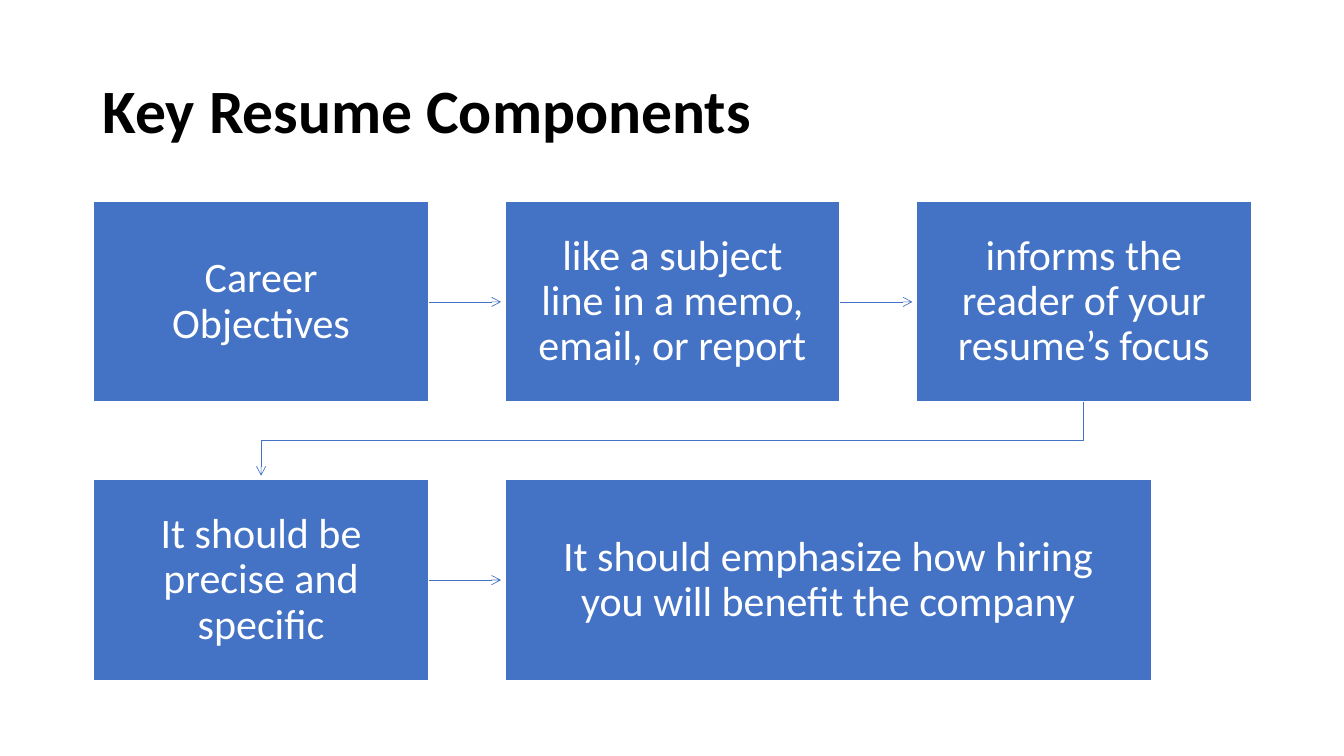
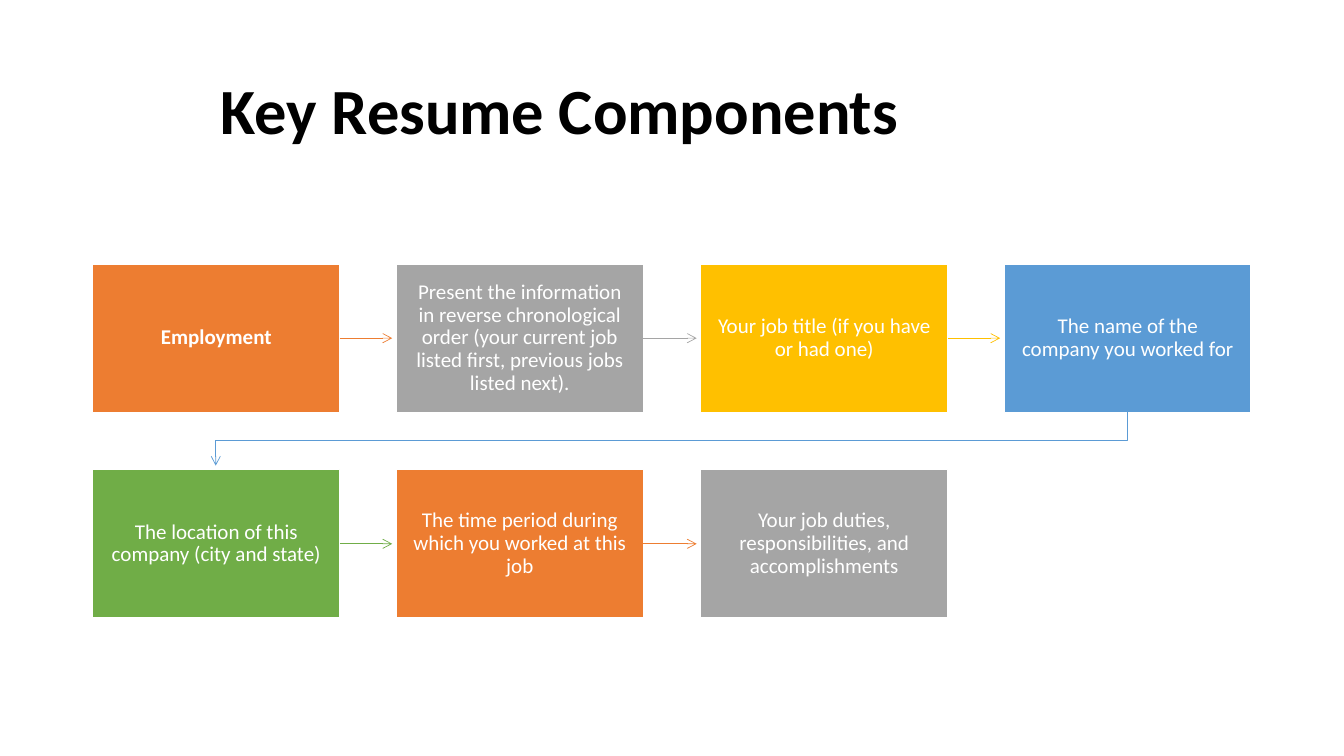
"""Build two slides that show resume components as box flows."""
from dataclasses import dataclass

from lxml.etree import SubElement
from pptx import Presentation
from pptx.dml.color import RGBColor
from pptx.enum.shapes import MSO_CONNECTOR, MSO_SHAPE
from pptx.enum.text import MSO_ANCHOR, MSO_AUTO_SIZE, PP_ALIGN
from pptx.oxml.ns import qn
from pptx.util import Emu, Pt

PX = 9144
TITLE_ONLY = 5
RIGHT_SITE = 3


@dataclass(frozen=True)
class Theme:
    font: str = "Calibri"
    black: str = "000000"
    white: str = "FFFFFF"
    blue: str = "4472C4"
    orange: str = "ED7D31"
    gray: str = "A5A5A5"
    gold: str = "FFC000"
    sky: str = "5B9BD5"
    green: str = "70AD47"
    title_size: int = 44
    large_title_size: int = 46
    large_text_size: int = 30
    small_text_size: int = 15
    line_spacing: float = 0.9
    border: float = 1
    arrow: float = 0.5


THEME = Theme()


@dataclass(frozen=True)
class Step:
    text: str
    color: str
    bold: bool = False
    width: int | None = None


@dataclass(frozen=True)
class Grid:
    left: int
    last_left: int
    top: int
    width: int
    height: int
    row_pitch: int
    columns: int
    inset_x: int
    inset_y: int
    text_size: int
    arrow_gap: int = 4


@dataclass(frozen=True)
class FlowSlide:
    title: str
    title_left: int
    title_size: int
    grid: Grid
    steps: tuple[Step, ...]


@dataclass(frozen=True)
class Box:
    left: int
    top: int
    width: int
    height: int

    @property
    def right(self) -> int:
        return self.left + self.width

    @property
    def bottom(self) -> int:
        return self.top + self.height

    @property
    def center_x(self) -> int:
        return self.left + self.width // 2

    @property
    def center_y(self) -> int:
        return self.top + self.height // 2


SLIDES = (
    FlowSlide(
        "Key Resume Components", 92, THEME.title_size,
        Grid(left=93, last_left=909, top=200, width=332, height=199, row_pitch=276,
             columns=3, inset_x=23, inset_y=23, text_size=THEME.large_text_size),
        (
            Step("Career Objectives", THEME.blue),
            Step("like a subject line in a memo, email, or report", THEME.blue),
            Step("informs the reader of your resume’s focus", THEME.blue),
            Step("It should be precise and specific", THEME.blue),
            Step("It should emphasize how hiring you will benefit the company",
                 THEME.blue, width=641),
        ),
    ),
    FlowSlide(
        "Key Resume Components", 209, THEME.large_title_size,
        Grid(left=92, last_left=996, top=262, width=245, height=147, row_pitch=204,
             columns=4, inset_x=12, inset_y=13, text_size=THEME.small_text_size),
        (
            Step("Employment", THEME.orange, bold=True),
            Step("Present the information in reverse chronological order (your current "
                 "job listed first, previous jobs listed next).", THEME.gray),
            Step("Your job title (if you have or had one)", THEME.gold),
            Step("The name of the company you worked for", THEME.sky),
            Step("The location of this company (city and state)", THEME.green),
            Step("The time period during which you worked at this job", THEME.orange),
            Step("Your job duties, responsibilities, and accomplishments", THEME.gray),
        ),
    ),
)


def px(n: int) -> Emu:
    """Turn pixels into EMU."""
    return Emu(n * PX)


def rgb(color: str) -> RGBColor:
    """Turn a hex string into a colour."""
    return RGBColor.from_string(color)


def style_paragraph(p, size: int, color: str, bold: bool, align) -> None:
    """Format a whole paragraph."""
    p.alignment = align
    p.line_spacing = THEME.line_spacing
    p.font.name = THEME.font
    p.font.size = Pt(size)
    p.font.bold = bold
    p.font.color.rgb = rgb(color)


def place_title(slide, flow: FlowSlide) -> None:
    """Move, fill and format the title placeholder."""
    sp = slide.shapes.title
    sp.left, sp.top = px(flow.title_left), px(40)
    sp.width, sp.height = px(1242 - flow.title_left), px(145)
    tf = sp.text_frame
    tf.text = flow.title
    tf.auto_size = MSO_AUTO_SIZE.NONE
    tf.vertical_anchor = MSO_ANCHOR.MIDDLE
    style_paragraph(tf.paragraphs[0], flow.title_size, THEME.black, True, PP_ALIGN.LEFT)


def step_box(grid: Grid, index: int, step: Step) -> Box:
    """Work out where a step stands in the grid."""
    row, col = divmod(index, grid.columns)
    left = grid.left + round((grid.last_left - grid.left) * col / (grid.columns - 1))
    return Box(left, grid.top + row * grid.row_pitch, step.width or grid.width, grid.height)


def add_step(slide, step: Step, box: Box, grid: Grid):
    """Draw one filled box with its text."""
    sp = slide.shapes.add_shape(
        MSO_SHAPE.RECTANGLE, px(box.left), px(box.top), px(box.width), px(box.height))
    sp.shadow.inherit = False
    sp.fill.solid()
    sp.fill.fore_color.rgb = rgb(step.color)
    sp.line.color.rgb = rgb(THEME.white)
    sp.line.width = Pt(THEME.border)
    tf = sp.text_frame
    tf.word_wrap = True
    tf.vertical_anchor = MSO_ANCHOR.MIDDLE
    tf.margin_left = tf.margin_right = px(grid.inset_x)
    tf.margin_top = tf.margin_bottom = px(grid.inset_y)
    tf.text = step.text
    style_paragraph(tf.paragraphs[0], grid.text_size, THEME.white, step.bold, PP_ALIGN.CENTER)
    return sp


def style_arrow(sp, color: str) -> None:
    """Give a line its colour, width and arrowhead."""
    sp.line.color.rgb = rgb(color)
    sp.line.width = Pt(THEME.arrow)
    SubElement(sp.line._get_or_add_ln(), qn("a:tailEnd"), type="arrow")


def add_straight_arrow(slide, sp, start: Box, end: Box, gap: int, color: str) -> None:
    """Join two neighbours in a row."""
    y = px(start.center_y)
    line = slide.shapes.add_connector(
        MSO_CONNECTOR.STRAIGHT, px(start.right), y, px(end.left - gap), y)
    line.begin_connect(sp, RIGHT_SITE)
    line.end_y = line.begin_y
    style_arrow(line, color)
    SubElement(line._element.spPr, qn("a:effectLst"))


def add_return_arrow(slide, start: Box, end: Box, gap: int, color: str) -> None:
    """Join the end of a row to the start of the next."""
    middle = (start.bottom + end.top) // 2
    path = slide.shapes.build_freeform(start.center_x, start.bottom, scale=PX)
    path.add_line_segments(
        ((start.center_x, middle), (end.center_x, middle), (end.center_x, end.top - gap)),
        close=False)
    sp = path.convert_to_shape()
    sp.fill.background()
    style_arrow(sp, color)
    sp.shadow.inherit = False


def add_flow_slide(prs, flow: FlowSlide) -> None:
    """Add a titled slide with its boxes and arrows."""
    slide = prs.slides.add_slide(prs.slide_layouts[TITLE_ONLY])
    place_title(slide, flow)
    grid = flow.grid
    boxes = [step_box(grid, i, step) for i, step in enumerate(flow.steps)]
    shapes = [add_step(slide, step, box, grid) for step, box in zip(flow.steps, boxes)]
    for step, sp, start, end in zip(flow.steps, shapes, boxes, boxes[1:]):
        if start.top == end.top:
            add_straight_arrow(slide, sp, start, end, grid.arrow_gap, step.color)
        else:
            add_return_arrow(slide, start, end, grid.arrow_gap, step.color)


def main() -> None:
    """Build and save the presentation."""
    prs = Presentation()
    prs.slide_width, prs.slide_height = px(1333), px(750)
    for flow in SLIDES:
        add_flow_slide(prs, flow)
    prs.save("out.pptx")


if __name__ == "__main__":
    main()
